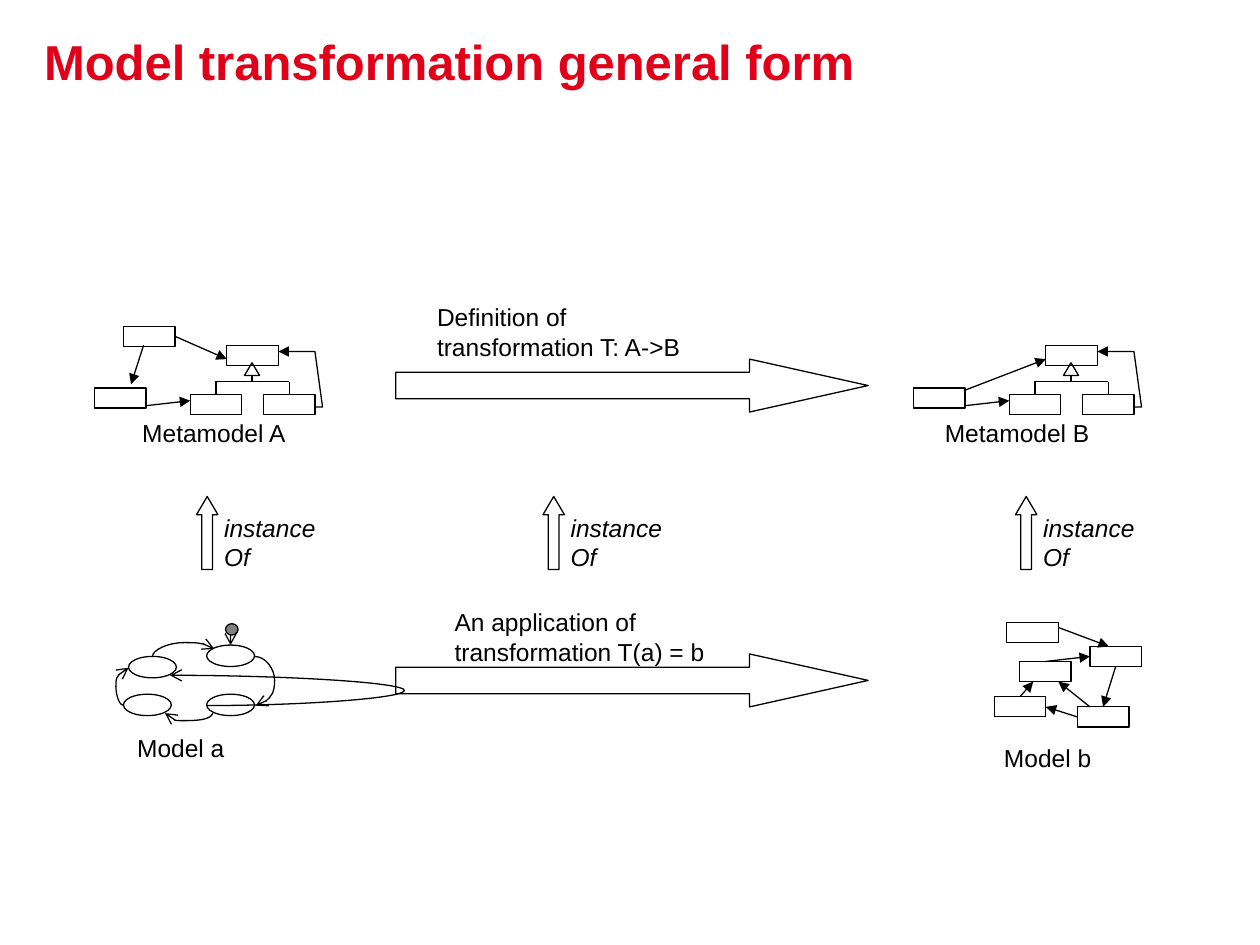
"""Build the slide on the general form of a model transformation."""
import lxml.etree
import pptx
import pptx.dml.color
import pptx.enum.shapes
import pptx.enum.text
import pptx.oxml.ns
import pptx.util

RED = pptx.dml.color.RGBColor(0xE1, 0x00, 0x1A)
BLACK = pptx.dml.color.RGBColor(0x00, 0x00, 0x00)
GRAY = pptx.dml.color.RGBColor(0x80, 0x80, 0x80)
PRESET = pptx.enum.shapes.MSO_SHAPE
qn = pptx.oxml.ns.qn

deck = pptx.Presentation()
deck.slide_width = pptx.util.Inches(10)
deck.slide_height = pptx.util.Inches(7.5)
CELL = deck.slide_width // 100
slide = deck.slides.add_slide(deck.slide_layouts[6])
shapes = slide.shapes


def draw(preset, *area):
    figure = shapes.add_shape(preset, *(round(n * CELL) for n in area))
    figure.shadow.inherit = False
    figure.fill.background()
    figure.line.color.rgb = BLACK
    figure.line.width = pptx.util.Pt(0.75)
    return figure


def link(points, head=None, curved=False):
    ends = [p if isinstance(p[0], (int, float)) else None for p in points]
    spots = [(round(p[0] * CELL), round(p[1] * CELL)) if p else (0, 0) for p in ends]
    if len(points) == 2:
        line = shapes.add_connector(pptx.enum.shapes.MSO_CONNECTOR.STRAIGHT, *spots[0], *spots[1])
        if ends[0] is None:
            line.begin_connect(*points[0])
        if ends[1] is None:
            line.end_connect(*points[1])
    else:
        outline = shapes.build_freeform(*spots[0])
        outline.add_line_segments(spots[1:], close=False)
        line = outline.convert_to_shape()
        line.fill.background()
    line.line.color.rgb = BLACK
    line.line.width = pptx.util.Pt(0.75)
    properties = line._element.spPr
    if head:
        lxml.etree.SubElement(properties.find(qn("a:ln")), qn("a:tailEnd"), type=head)
    lxml.etree.SubElement(properties, qn("a:effectLst"))
    if curved:
        steps = list(properties.iter(qn("a:lnTo")))
        for first, second, third in zip(steps[::3], steps[1::3], steps[2::3]):
            first.tag = qn("a:cubicBezTo")
            for step in (second, third):
                first.append(step[0])
                step.getparent().remove(step)


BOX = (4.1, 1.6)
inner, target, source, entry, root = [
    draw(PRESET.RECTANGLE, x, y, *BOX)
    for x, y in [(80.9, 52.5), (85.5, 56.1), (78.9, 55.3), (86.5, 51.3), (79.9, 49.4)]
]
for model_b_link in [
    ((entry, 2), (target, 0)),
    ((inner, 0), (entry, 1)),
    ((86.5, 56.1), (84, 54.1)),
    ((target, 1), (source, 3)),
    ((source, 0), (82, 54.1)),
    ((84, 49.8), (88, 51.3)),
]:
    link(model_b_link, "triangle")

states = [
    draw(PRESET.OVAL, x, y, 3.8, 1.7)
    for x, y in [(10.2, 52.1), (9.8, 55.1), (16.4, 55.1), (16.4, 51.2)]
]
for transition in [
    [(12.1, 52.1), (12.1, 51.6), (13.3, 51), (14.6, 51), (15.8, 51), (17, 51.2), (17, 51.5)],
    [(16.9, 56.6), (16.7, 57.2), (15.4, 57.2), (14.5, 57.2), (13.8, 57.2), (13.3, 57), (13.1, 56.6)],
    [(16.4, 56), (24.3, 56), (32.1, 55.4), (32.1, 54.8), (32.1, 54.2), (22.8, 53.6), (13.5, 53.6)],
    [(20.2, 52.1), (21.1, 52.1), (21.8, 53.1), (21.8, 54), (21.8, 55), (21.1, 56), (20.3, 56)],
    [(9.8, 56), (9.5, 56), (9.2, 55.2), (9.2, 54.5), (9.2, 53.7), (9.7, 53), (10.2, 53)],
]:
    link(transition, "arrow", curved=True)
link([(18.3, 49.9), (states[3], 0)], "arrow")
initial_state = draw(PRESET.OVAL, 17.9, 49.5, 1, 0.9)
initial_state.fill.solid()
initial_state.fill.fore_color.rgb = GRAY

for left in (0, 65):
    draw(PRESET.RECTANGLE, left + 7.5, 30.8, *BOX)
    draw(PRESET.RECTANGLE, left + 18, 27.4, *BOX)
    draw(PRESET.ISOSCELES_TRIANGLE, left + 19.4, 28.8, 1.2, 1)
    link([(left + 11.6, 32.2), (left + 15.1, 31.8)], "triangle")
    link([(left + 17.1, 30.3), (left + 22.9, 30.3)])
    link([(left + 20, 29.8), (left + 20, 30.3)])
    for child in (15.1, 20.9):
        subclass = draw(PRESET.RECTANGLE, left + child, 31.3, *BOX)
        link([(left + child + 2.05, 30.3), (subclass, 0)])
    link([(left + 25, 32.3), (left + 25.6, 32.3), (left + 25, 27.9), (left + 22.1, 27.9)], "triangle")
link([(76.5, 31), (83, 28.5)], "triangle")
top_class = draw(PRESET.RECTANGLE, 9.8, 25.9, *BOX)
link([(top_class, 3), (18, 28.5)], "triangle")
link([(11.4, 27.4), (10.4, 30.5)], "triangle")

for top in (28.5, 51.9):
    transformation = draw(PRESET.RIGHT_ARROW, 31.4, top, 37.5, 4.2)
    transformation.adjustments[0] = 0.5
    transformation.adjustments[1] = 2.24
for left in (15.6, 43.1, 80.6):
    instance_of = draw(PRESET.UP_ARROW, left, 39.4, 1.7, 5.8)
    instance_of.adjustments[0] = 0.5
    instance_of.adjustments[1] = 0.85

LABELS = [
    (9.9, 57.7, 10.3, 5.7, "Model a"),
    (78.7, 58.5, 9.6, 5.7, "Model b"),
    (74, 32.7, 15.5, 5.7, "Metamodel B"),
    (10.3, 32.7, 14.8, 5.7, "Metamodel A"),
    (33.7, 23.5, 23.5, 8, "Definition of\ntransformation T: A->B"),
    (35.1, 47.7, 22, 8, "An application of\ntransformation T(a) = b"),
    *((left, 40.2, 10.5, 5.7, "instanceOf") for left in (16.8, 44.3, 81.8)),
]
for *area, wording in LABELS:
    label = shapes.add_textbox(*(round(n * CELL) for n in area)).text_frame
    label.word_wrap = True
    label.text = wording
    for paragraph in label.paragraphs:
        paragraph.font.name = "Arial"
        paragraph.font.size = pptx.util.Pt(14)
        paragraph.font.italic = wording == "instanceOf"
        paragraph.font.color.rgb = BLACK

title = shapes.add_textbox(*(round(n * CELL) for n in (3.5, 1.3, 93.7, 7.1))).text_frame
title.word_wrap = True
title.vertical_anchor = pptx.enum.text.MSO_ANCHOR.MIDDLE
title.margin_left = title.margin_right = title.margin_top = title.margin_bottom = 0
title.text = "Model transformation general form"
heading = title.paragraphs[0]
heading.font.name = "Arial"
heading.font.size = pptx.util.Pt(28)
heading.font.bold = True
heading.font.color.rgb = RED

deck.save("out.pptx")
